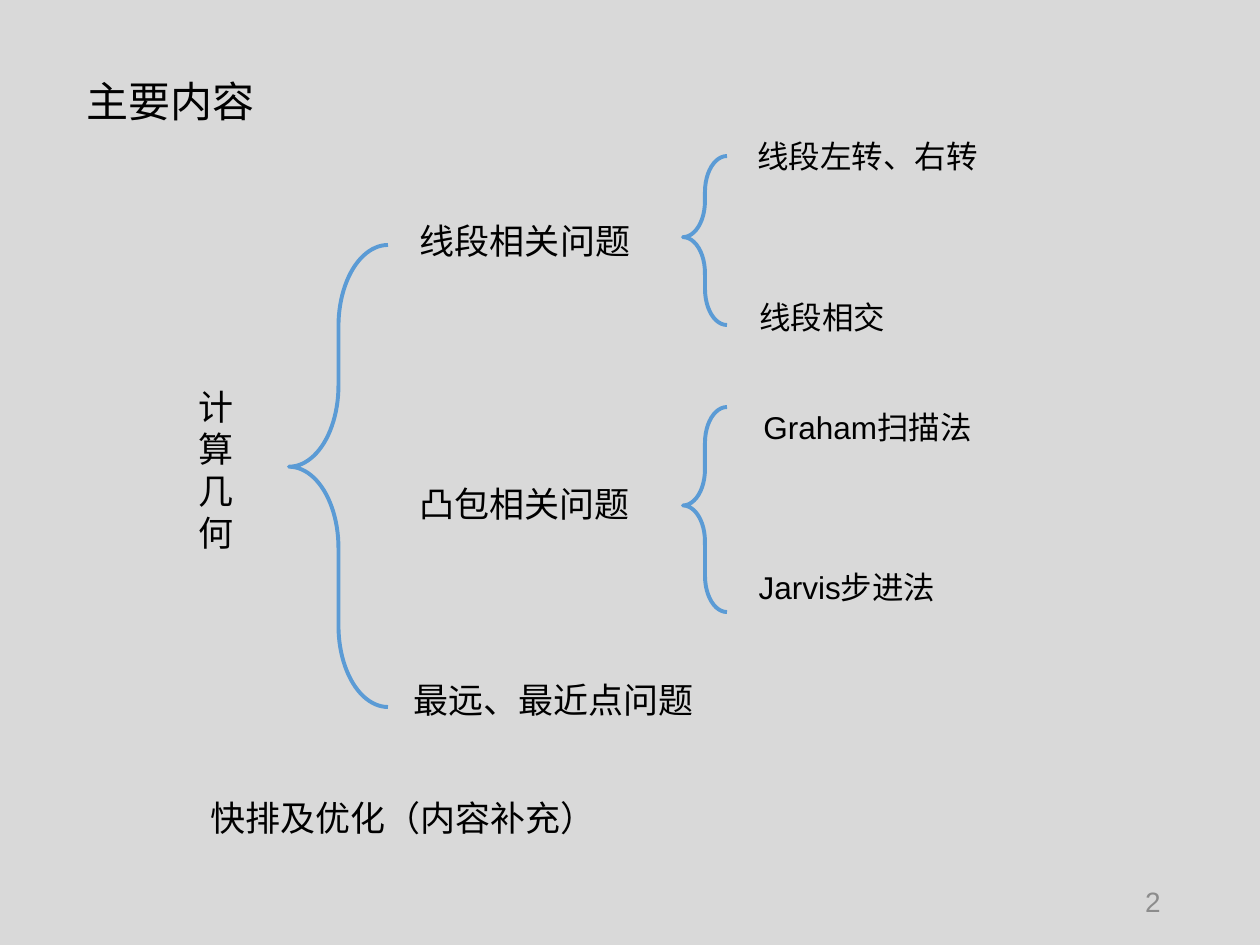
from dataclasses import dataclass

from pptx import Presentation
from pptx.dml.color import RGBColor
from pptx.enum.shapes import MSO_SHAPE as Shape
from pptx.enum.text import MSO_ANCHOR as Anchor, PP_ALIGN as Align
from pptx.util import Emu, Pt


@dataclass(frozen=True)
class Theme:
    font: str = "Arial"
    background: RGBColor = RGBColor(0xD9, 0xD9, 0xD9)
    ink: RGBColor = RGBColor(0, 0, 0)
    muted: RGBColor = RGBColor(0x8C, 0x8C, 0x8C)
    brace: RGBColor = RGBColor(0x5B, 0x9B, 0xD5)
    brace_width: float = 2.25
    title: int = 24
    topic: int = 20
    detail: int = 18
    number: int = 16


THEME = Theme()
EMU_PER_PX = 914400 / 126
SLIDE_SIZE = (1260, 945)
TOPIC_HEIGHT, DETAIL_HEIGHT = 55, 50
BRACE_CURVE, BRACE_POINT = 0.82, 0.48

# Content: text, left, top, width (px)
TITLE = ("主要内容", 74, 62, 213)
ROOT = ("计算几何", 181, 379, 71)
TOPICS = [
    ("线段相关问题", 378, 213, 294),
    ("凸包相关问题", 388, 476, 273),
    ("最远、最近点问题", 362, 672, 383),
]
DETAILS = [
    ("线段左转、右转", 727, 131, 281),
    ("线段相交", 737, 292, 170),
    ("Graham扫描法", 747, 402, 241),
    ("Jarvis步进法", 737, 562, 220),
]
EXTRA = ("快排及优化（内容补充）", 198, 790, 735)
PAGE_NUMBER = ("2", 890, 876, 283)

# Braces: left, top, width, height (px)
BRACES = [
    (289, 245, 99, 462),
    (683, 156, 44, 169),
    (683, 407, 44, 205),
]


def px(*lengths):
    return [Emu(round(length * EMU_PER_PX)) for length in lengths]


def add_text(slide, item, height, size, align=Align.CENTER, color=THEME.ink,
             anchor=Anchor.TOP, stacked=False, spacing=None):
    text, left, top, width = item
    box = slide.shapes.add_textbox(*px(left, top, width, height))
    frame = box.text_frame
    frame.word_wrap = True
    frame.vertical_anchor = anchor
    frame.text = "\n".join(text) if stacked else text
    for paragraph in frame.paragraphs:
        paragraph.alignment = align
        paragraph.line_spacing = spacing
        paragraph.font.name = THEME.font
        paragraph.font.size = Pt(size)
        paragraph.font.color.rgb = color


def add_brace(slide, bounds):
    brace = slide.shapes.add_shape(Shape.LEFT_BRACE, *px(*bounds))
    brace.adjustments[0] = BRACE_CURVE
    brace.adjustments[1] = BRACE_POINT
    brace.shadow.inherit = False
    brace.fill.background()
    brace.line.color.rgb = THEME.brace
    brace.line.width = Pt(THEME.brace_width)


def main():
    presentation = Presentation()
    presentation.slide_width, presentation.slide_height = px(*SLIDE_SIZE)
    slide = presentation.slides.add_slide(presentation.slide_layouts[6])
    slide.background.fill.solid()
    slide.background.fill.fore_color.rgb = THEME.background

    # Title
    add_text(slide, TITLE, 84, THEME.title, Align.LEFT,
             anchor=Anchor.MIDDLE, spacing=0.9)

    # Topic tree
    for bounds in BRACES:
        add_brace(slide, bounds)
    add_text(slide, ROOT, 183, THEME.topic, stacked=True)
    for topic in TOPICS:
        add_text(slide, topic, TOPIC_HEIGHT, THEME.topic)
    for detail in DETAILS:
        add_text(slide, detail, DETAIL_HEIGHT, THEME.detail)

    # Supplement and page number
    add_text(slide, EXTRA, TOPIC_HEIGHT, THEME.topic, Align.LEFT)
    add_text(slide, PAGE_NUMBER, DETAIL_HEIGHT, THEME.number, Align.RIGHT,
             THEME.muted, Anchor.MIDDLE)

    presentation.save("out.pptx")


if __name__ == "__main__":
    main()
